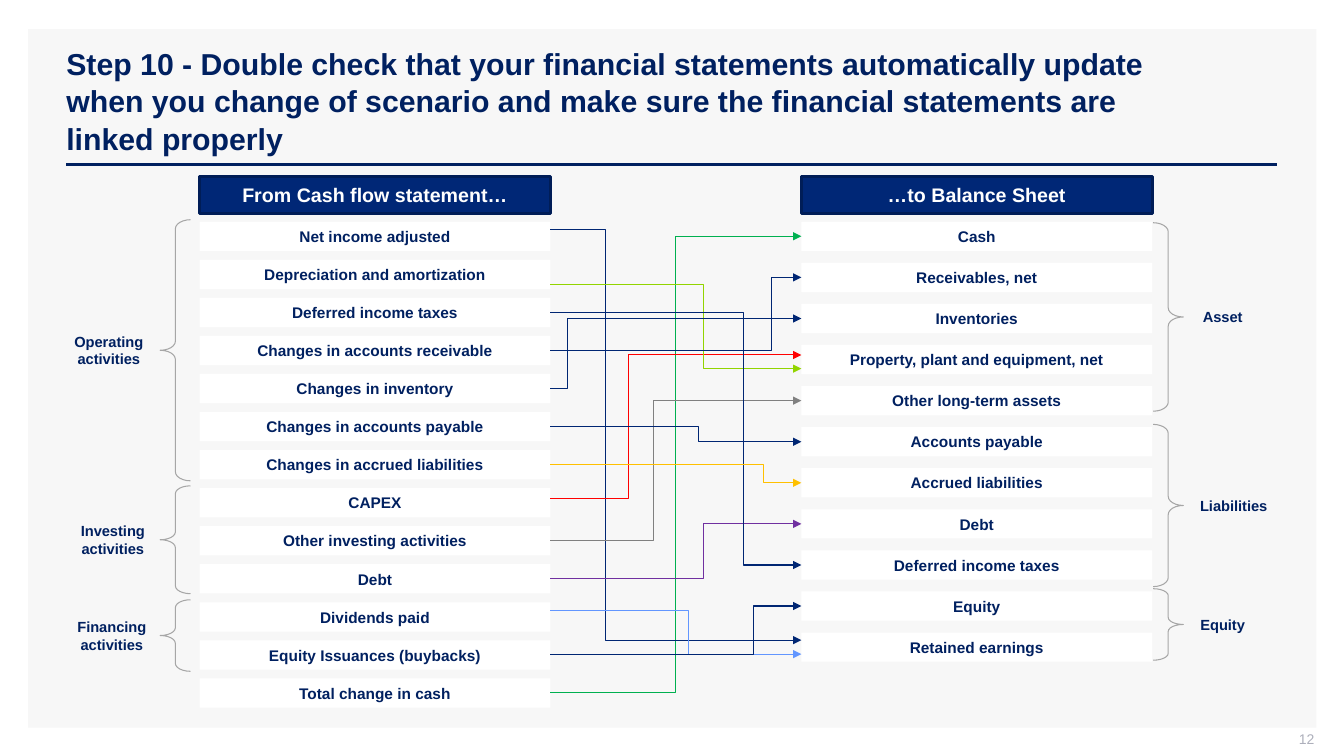
from dataclasses import dataclass

from lxml import etree
from pptx import Presentation
from pptx.dml.color import RGBColor
from pptx.enum.shapes import MSO_CONNECTOR, MSO_SHAPE
from pptx.enum.text import MSO_ANCHOR, PP_ALIGN
from pptx.oxml.ns import qn
from pptx.util import Inches, Pt

RECTANGLE = MSO_SHAPE.RECTANGLE
LEFT_BRACE, RIGHT_BRACE = MSO_SHAPE.LEFT_BRACE, MSO_SHAPE.RIGHT_BRACE
STRAIGHT, ELBOW = MSO_CONNECTOR.STRAIGHT, MSO_CONNECTOR.ELBOW
LEFT, CENTER, RIGHT = PP_ALIGN.LEFT, PP_ALIGN.CENTER, PP_ALIGN.RIGHT
TOP, MIDDLE = MSO_ANCHOR.TOP, MSO_ANCHOR.MIDDLE

NAVY = RGBColor(0x00, 0x20, 0x60)
HEADER_FILL = RGBColor(0x00, 0x27, 0x76)
HEADER_EDGE = RGBColor(0x00, 0x1D, 0x57)
LINK_NAVY = RGBColor(0x00, 0x26, 0x73)
PANEL_GREY = RGBColor(0xF7, 0xF7, 0xF7)
BRACE_GREY = RGBColor(0xA6, 0xA6, 0xA6)
NUMBER_GREY = RGBColor(0xAD, 0xAF, 0xBB)
WHITE = RGBColor(0xFF, 0xFF, 0xFF)
GREEN = RGBColor(0x00, 0xB0, 0x50)
LIME = RGBColor(0x92, 0xD4, 0x00)
LIGHT_BLUE = RGBColor(0x62, 0x96, 0xFF)
PURPLE = RGBColor(0x70, 0x30, 0xA0)
RED = RGBColor(0xFF, 0x00, 0x00)
GREY = RGBColor(0x80, 0x80, 0x80)
AMBER = RGBColor(0xFF, 0xC0, 0x00)

# Grid of 40 columns by 30 rows
SLIDE_WIDTH, SLIDE_HEIGHT = Inches(13.33), Inches(7.5)
COLUMN, ROW = SLIDE_WIDTH / 40, SLIDE_HEIGHT / 30
CARD_WIDTH, CARD_HEIGHT, FIRST_CARD = 10.44, 1.16, 8.8
HEADER_TOP, HEADER_HEIGHT = 7, 1.48
BRACE_WIDTH, LABEL_WIDTH = 0.9, 3.6


@dataclass(frozen=True)
class Statement:
    heading: str
    left: float
    pitch: float
    items: tuple[str, ...]

    def card_top(self, item: str) -> float:
        return FIRST_CARD + self.pitch * self.items.index(item)

    def card_middle(self, item: str) -> float:
        return self.card_top(item) + CARD_HEIGHT / 2


@dataclass(frozen=True)
class Group:
    label: str
    label_left: float
    label_height: float
    brace: MSO_SHAPE
    brace_left: float
    top: float
    height: float
    curl: float


@dataclass(frozen=True)
class Link:
    source: str
    target: str
    color: RGBColor
    bend: float
    source_shift: float = 0
    target_shift: float = 0


CASH_FLOW = Statement("From Cash flow statement…", 5.94, 1.51, (
    "Net income adjusted", "Depreciation and amortization", "Deferred income taxes",
    "Changes in accounts receivable", "Changes in inventory",
    "Changes in accounts payable", "Changes in accrued liabilities", "CAPEX",
    "Other investing activities", "Debt", "Dividends paid",
    "Equity Issuances (buybacks)", "Total change in cash"))
BALANCE_SHEET = Statement("…to Balance Sheet", 23.85, 1.63, (
    "Cash", "Receivables, net", "Inventories", "Property, plant and equipment, net",
    "Other long-term assets", "Accounts payable", "Accrued liabilities", "Debt",
    "Deferred income taxes", "Equity", "Retained earnings"))

GROUPS = (
    Group("Operating activities", 1.44, 1.8, LEFT_BRACE, 4.77, 8.72, 10.36, 0.3),
    Group("Investing activities", 1.56, 1.8, LEFT_BRACE, 4.77, 19.28, 4.28, 0.26),
    Group("Financing activities", 1.53, 1.8, LEFT_BRACE, 4.77, 23.8, 2.84, 0.26),
    Group("Asset", 34.59, 1.12, RIGHT_BRACE, 34.32, 8.84, 7.48, 0.3),
    Group("Liabilities", 34.92, 1.12, RIGHT_BRACE, 34.32, 16.84, 6.44, 0.3),
    Group("Equity", 34.59, 1.12, RIGHT_BRACE, 34.32, 23.36, 2.84, 0.23),
)

LINKS = (
    Link("Total change in cash", "Cash", GREEN, 0.5),
    Link("Net income adjusted", "Retained earnings", LINK_NAVY, 0.22, -0.28, -0.28),
    Link("Dividends paid", "Retained earnings", LIGHT_BLUE, 0.55, -0.24, 0.28),
    Link("Equity Issuances (buybacks)", "Equity", LINK_NAVY, 0.81),
    Link("Debt", "Debt", PURPLE, 0.61),
    Link("CAPEX", "Property, plant and equipment, net", RED, 0.31, -0.16, -0.18),
    Link("Other investing activities", "Other long-term assets", GREY, 0.41),
    Link("Depreciation and amortization", "Property, plant and equipment, net",
         LIME, 0.61, 0.4, 0.36),
    Link("Deferred income taxes", "Deferred income taxes", LINK_NAVY, 0.77),
    Link("Changes in accounts receivable", "Receivables, net", LINK_NAVY, 0.88),
    Link("Changes in inventory", "Inventories", LINK_NAVY, 0.07),
    Link("Changes in accounts payable", "Accounts payable", LINK_NAVY, 0.59),
    Link("Changes in accrued liabilities", "Accrued liabilities", AMBER, 0.85),
)


def place(left: float, top: float, right: float, bottom: float) -> tuple[int, ...]:
    return (round(left * COLUMN), round(top * ROW),
            round(right * COLUMN), round(bottom * ROW))


def write(shape, text: str, size: float, color: RGBColor, align=CENTER,
          anchor=MIDDLE, bold: bool = True):
    frame = shape.text_frame
    frame.word_wrap = True
    frame.vertical_anchor = anchor
    frame.text = text
    paragraph = frame.paragraphs[0]
    paragraph.alignment = align
    font = paragraph.font
    font.name, font.size, font.bold = "Arial", Pt(size), bold
    font.color.rgb = color
    return frame


def add_box(slide, left: float, top: float, width: float, height: float,
            fill: RGBColor, edge: RGBColor | None = None):
    box = slide.shapes.add_shape(RECTANGLE, *place(left, top, width, height))
    box.shadow.inherit = False
    box.fill.solid()
    box.fill.fore_color.rgb = fill
    if edge is None:
        box.line.fill.background()
    else:
        box.line.color.rgb, box.line.width = edge, Pt(2)
    return box


def add_line(slide, kind, start: tuple[float, float], end: tuple[float, float],
             color: RGBColor, weight: float):
    line = slide.shapes.add_connector(kind, *place(*start, *end))
    line.line.color.rgb, line.line.width = color, Pt(weight)
    etree.SubElement(line._element.spPr, qn("a:effectLst"))
    return line


def add_statement(slide, statement: Statement) -> None:
    header = add_box(slide, statement.left, HEADER_TOP, CARD_WIDTH, HEADER_HEIGHT,
                     HEADER_FILL, HEADER_EDGE)
    write(header, statement.heading, 14, WHITE)
    for item in statement.items:
        card = add_box(slide, statement.left, statement.card_top(item),
                       CARD_WIDTH, CARD_HEIGHT, WHITE)
        write(card, item, 11, NAVY)


def add_group(slide, group: Group) -> None:
    brace = slide.shapes.add_shape(group.brace, *place(
        group.brace_left, group.top, BRACE_WIDTH, group.height))
    brace.shadow.inherit = False
    brace.fill.background()
    brace.line.color.rgb, brace.line.width = BRACE_GREY, Pt(0.75)
    brace.adjustments[0] = group.curl
    label_top = group.top + (group.height - group.label_height) / 2
    label = slide.shapes.add_textbox(*place(
        group.label_left, label_top, LABEL_WIDTH, group.label_height))
    write(label, group.label, 10.5, NAVY, anchor=TOP)


def add_link(slide, link: Link) -> None:
    start = (CASH_FLOW.left + CARD_WIDTH,
             CASH_FLOW.card_middle(link.source) + link.source_shift)
    end = (BALANCE_SHEET.left,
           BALANCE_SHEET.card_middle(link.target) + link.target_shift)
    arrow = add_line(slide, ELBOW, start, end, link.color, 0.75)
    properties = arrow._element.spPr
    bends = properties.find(qn("a:prstGeom")).find(qn("a:avLst"))
    etree.SubElement(bends, qn("a:gd"), name="adj1",
                     fmla=f"val {round(link.bend * 100000)}")
    etree.SubElement(properties.find(qn("a:ln")), qn("a:tailEnd"), type="triangle")


def main() -> None:
    deck = Presentation()
    deck.slide_width, deck.slide_height = SLIDE_WIDTH, SLIDE_HEIGHT
    slide = deck.slides.add_slide(deck.slide_layouts[6])

    # Panel, title and page number
    add_box(slide, 0.84, 1.16, 38.34, 27.72, PANEL_GREY)
    add_line(slide, STRAIGHT, (1.98, 6.52), (38.01, 6.52), NAVY, 2)
    title = slide.shapes.add_textbox(*place(1.68, 1.6, 36.33, 4.76))
    heading = write(title, "Step 10 - Double check that your financial statements "
                    "automatically update \vwhen you change of scenario and make sure "
                    "the financial statements are \vlinked properly", 21.6, NAVY, LEFT)
    heading.paragraphs[0].line_spacing = 1.03
    page_number = slide.shapes.add_textbox(*place(30.12, 29, 9, 0.84))
    footer = write(page_number, "12", 10, NUMBER_GREY, RIGHT, bold=False)
    footer.margin_top = footer.margin_right = 0

    # Statements, their groups and the links between them
    for statement in (CASH_FLOW, BALANCE_SHEET):
        add_statement(slide, statement)
    for group in GROUPS:
        add_group(slide, group)
    for link in LINKS:
        add_link(slide, link)

    deck.save("out.pptx")


if __name__ == "__main__":
    main()
